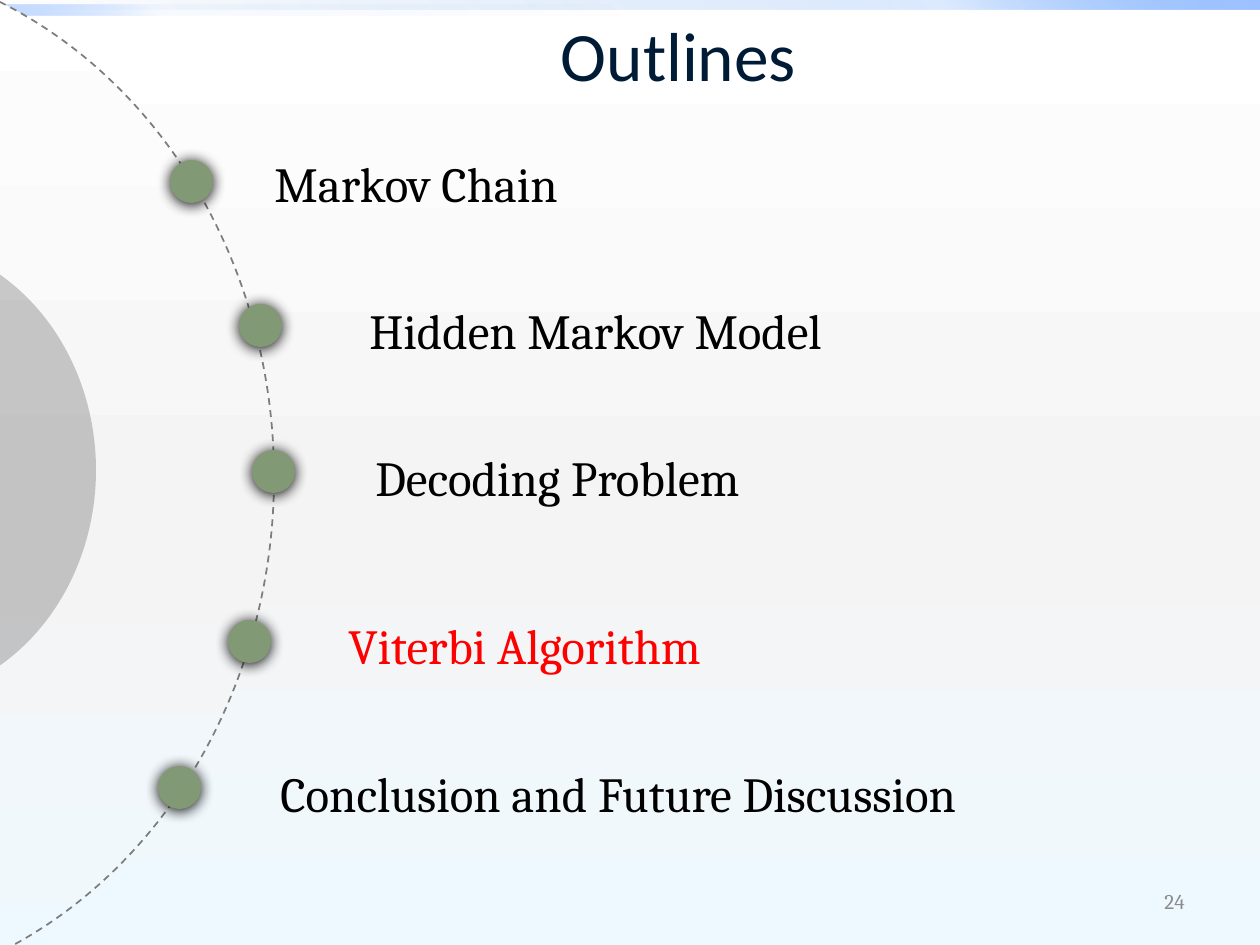
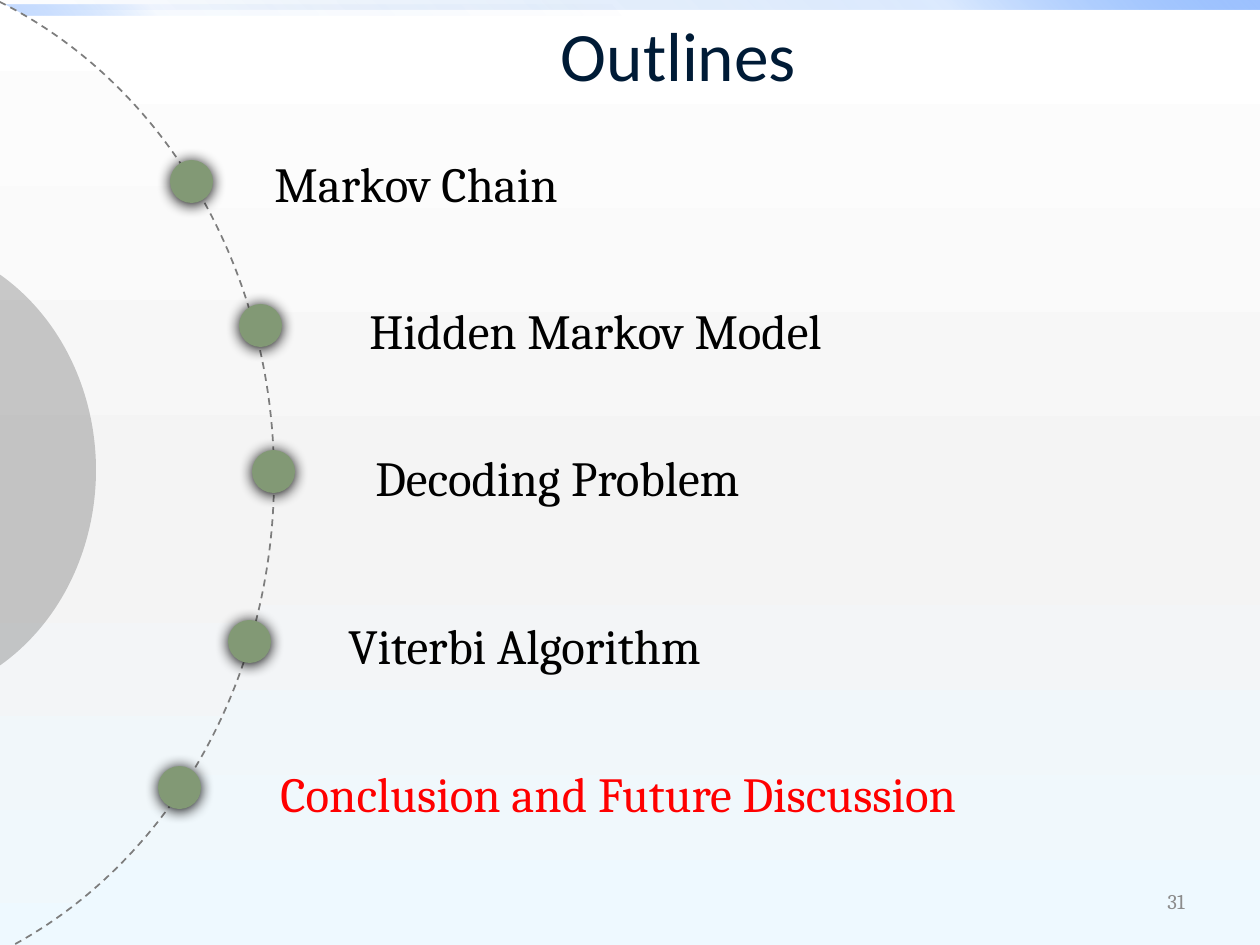
import pptx
import pptx.dml.color
import pptx.enum.dml
import pptx.enum.shapes
import pptx.enum.text
import pptx.util
import lxml.etree
from pptx.oxml.ns import qn

SHAPES = pptx.enum.shapes.MSO_SHAPE
ALIGN = pptx.enum.text.PP_ALIGN

# Shared scale, colours and fonts
EMU_PER_PX = 914400 / 126
SLIDE_BOX = (0, 0, 1260, 945)
BLACK, RED = "000000", "FF0000"
TITLE_COLOR, NUMBER_COLOR = "001B36", "8C8C8C"
DOT_COLOR, ARC_COLOR = "829975", "7D7D7D"
HEADING_FONT, BODY_FONT = "Calibri", "Cambria"

# Gradient stops: position, colour, opacity (all positions and opacities in percent)
BACKDROP = [(0, "FFFFFF", 100), (55, "F4F4F4", 100), (100, "EEF9FF", 100)]
WIDE_BAND = [(0, "0058B7", 0), (75, "4F95FF", 20), (100, "9EC2FF", 100)]
SHORT_BAND = [(0, "0058B7", 0), (75, "4F95FF", 5), (100, "9EC2FF", 60)]

# Topic, label corner and dot corner
TOPICS = [
    ("Markov Chain", (262, 147), (170, 160)),
    ("Hidden Markov Model", (357, 294), (239, 304)),
    ("Decoding Problem", (363, 441), (252, 450)),
    ("Viterbi Algorithm", (336, 609), (228, 620)),
    ("Conclusion and Future Discussion", (268, 757), (158, 766)),
]
LABEL_SIZE = (1008, 72)
DOT_SIZE = (43, 43)


def px(value):
    return pptx.util.Emu(round(value * EMU_PER_PX))


def rgb(color):
    return pptx.dml.color.RGBColor.from_string(color)


def place(box, left, top, width, height):
    """Turn a place inside a box into slide lengths."""
    return px(box[0] + left), px(box[1] + top), px(width), px(height)


def add_color(parent, color, opacity):
    node = lxml.etree.SubElement(parent, qn("a:srgbClr"), val=color)
    if opacity < 100:
        lxml.etree.SubElement(node, qn("a:alpha"), val=str(opacity * 1000))


def set_gradient(fill, element, stops, angle):
    fill.gradient()
    gradient = element.find(".//" + qn("a:gradFill"))
    for child in list(gradient):
        gradient.remove(child)
    stop_list = lxml.etree.SubElement(gradient, qn("a:gsLst"))
    for position, color, opacity in stops:
        stop = lxml.etree.SubElement(stop_list, qn("a:gs"), pos=str(position * 1000))
        add_color(stop, color, opacity)
    lxml.etree.SubElement(gradient, qn("a:lin"), ang=str(angle * 60000), scaled="0")


def add_plain_shape(slide, kind, position, color=None, opacity=100):
    shape = slide.shapes.add_shape(kind, *position)
    shape.line.fill.background()
    shape.shadow.inherit = False
    if color:
        shape.fill.solid()
        shape.fill.fore_color.rgb = rgb(color)
        if opacity < 100:
            node = shape._element.spPr.find(".//" + qn("a:srgbClr"))
            lxml.etree.SubElement(node, qn("a:alpha"), val=str(opacity * 1000))
    return shape


def add_text(slide, position, text, size=28, font=BODY_FONT, color=BLACK, align=ALIGN.LEFT):
    frame = slide.shapes.add_textbox(*position).text_frame
    frame.word_wrap = True
    frame.vertical_anchor = pptx.enum.text.MSO_ANCHOR.MIDDLE
    paragraph = frame.paragraphs[0]
    paragraph.alignment = align
    run = paragraph.add_run()
    run.text = text
    run.font.size = pptx.util.Pt(size)
    run.font.name = font
    run.font.color.rgb = rgb(color)


def add_bands(slide, box):
    set_gradient(slide.background.fill, slide._element, BACKDROP, 90)
    for top, width, stops, angle in ((0, box[2], WIDE_BAND, 315),
                                     (5, box[2] / 2, SHORT_BAND, 135)):
        band = add_plain_shape(slide, SHAPES.RECTANGLE, place(box, 0, top, width, 10))
        set_gradient(band.fill, band._element.spPr, stops, angle)


def add_half_circle(slide, position, **fill):
    """Right half of an ellipse, from its top to its bottom."""
    arc = add_plain_shape(slide, SHAPES.ARC, position, **fill)
    arc.adjustments[0] = 162
    arc.adjustments[1] = 54
    return arc


def add_arcs(slide, box):
    # Dashed outer arc
    outer = add_half_circle(slide, place(box, -650, -43, 924, 1040))
    set_gradient(outer.fill, outer._element.spPr, BACKDROP, 90)
    outer.line.color.rgb = rgb(ARC_COLOR)
    outer.line.width = pptx.util.Pt(1)
    outer.line.dash_style = pptx.enum.dml.MSO_LINE.DASH
    # Grey inner disc
    add_half_circle(slide, place(box, -315, 239, 411, 462), color=BLACK, opacity=20)


def add_dot(slide, position):
    dot = add_plain_shape(slide, SHAPES.OVAL, position, DOT_COLOR)
    effects = dot._element.spPr.find(qn("a:effectLst"))
    shadow = lxml.etree.SubElement(effects, qn("a:outerShdw"), blurRad="108000",
                                   dist="12700", dir="5400000", algn="ctr", rotWithShape="0")
    add_color(shadow, BLACK, 100)


def add_topics(slide, box, current):
    for topic, label_corner, dot_corner in TOPICS:
        add_dot(slide, place(box, *dot_corner, *DOT_SIZE))
        add_text(slide, place(box, *label_corner, *LABEL_SIZE), topic,
                 color=RED if topic == current else BLACK)


def add_outline_slide(presentation, box, current, number):
    slide = presentation.slides.add_slide(presentation.slide_layouts[6])
    add_bands(slide, box)
    add_arcs(slide, box)
    add_topics(slide, box, current)
    # Title and slide number
    add_text(slide, place(box, 122, 6, 1113, 96), "Outlines", size=39.6,
             font=HEADING_FONT, color=TITLE_COLOR, align=ALIGN.CENTER)
    add_text(slide, place(box, 903, 876, 294, 50), str(number), size=12,
             color=NUMBER_COLOR, align=ALIGN.RIGHT)


def main():
    presentation = pptx.Presentation()
    presentation.slide_width = px(SLIDE_BOX[2])
    presentation.slide_height = px(SLIDE_BOX[3])
    add_outline_slide(presentation, SLIDE_BOX, "Viterbi Algorithm", 24)
    add_outline_slide(presentation, SLIDE_BOX, "Conclusion and Future Discussion", 31)
    presentation.save("out.pptx")


if __name__ == "__main__":
    main()
